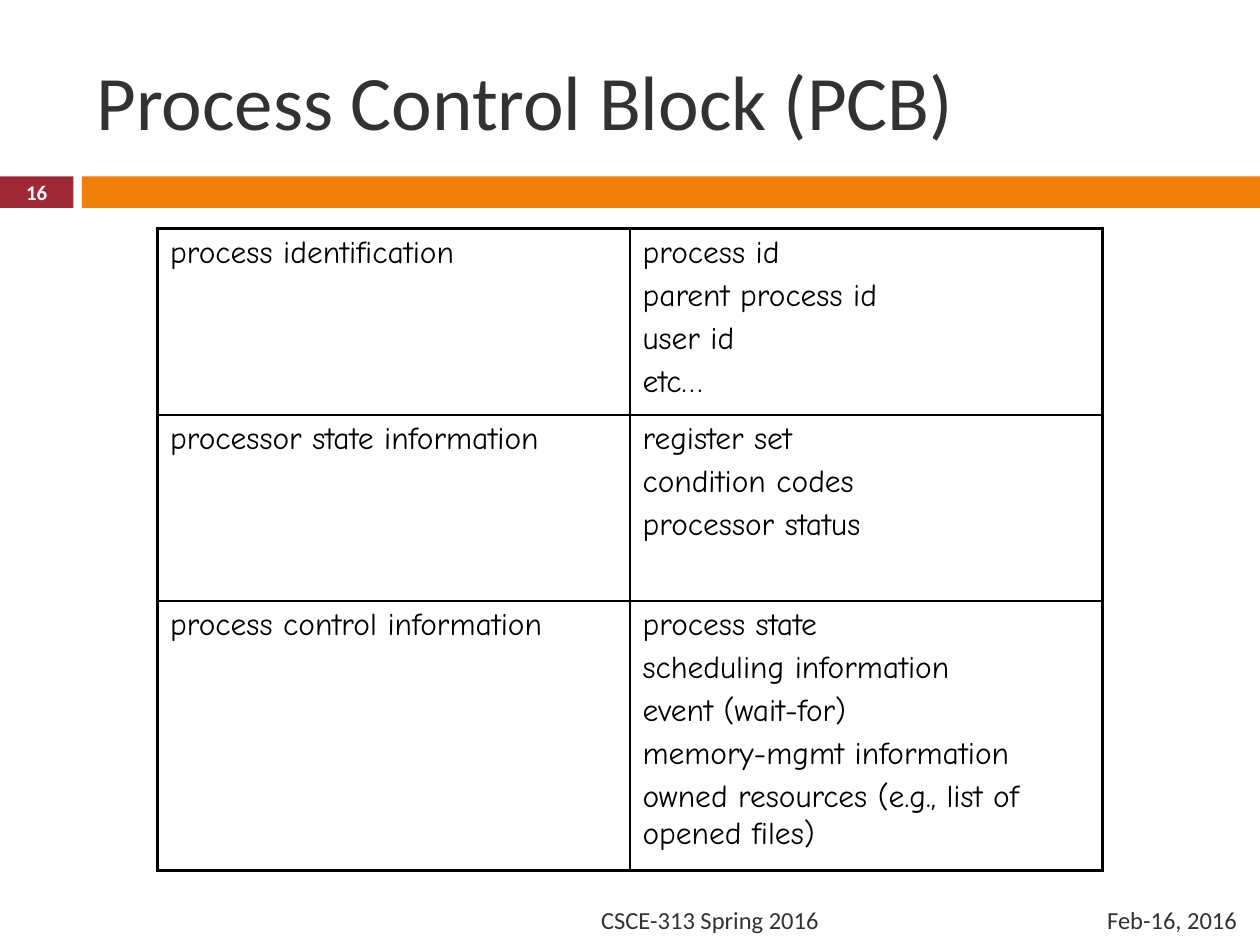
import pptx
import pptx.util
import pptx.dml.color
import pptx.enum.shapes
import pptx.enum.text
import pptx.oxml
import pptx.oxml.ns

Pt = pptx.util.Pt
RGBColor = pptx.dml.color.RGBColor
ALIGN = pptx.enum.text.PP_ALIGN

CRIMSON = RGBColor(0x9F, 0x29, 0x36)
ORANGE = RGBColor(0xF0, 0x7F, 0x09)
CHARCOAL = RGBColor(0x32, 0x32, 0x32)
BLACK = RGBColor(0, 0, 0)
WHITE = RGBColor(0xFF, 0xFF, 0xFF)

BANDS = [
    ((0, 100.8, 42, 18), CRIMSON),
    ((46.8, 100.8, 673.2, 18), ORANGE),
]
LABELS = [
    ("Process Control Block (PCB)", (48, 18, 642, 78), 44, CHARCOAL, False, ALIGN.LEFT),
    ("Feb-16, 2016", (504, 511.2, 210, 28.8), 14, CHARCOAL, False, ALIGN.RIGHT),
    ("CSCE-313 Spring 2016", (48, 511.2, 427, 28.8), 14, CHARCOAL, False, ALIGN.RIGHT),
    ("16", (0, 100.2, 42, 19.2), 11.9, WHITE, True, ALIGN.CENTER),
]
PCB_FIELDS = [
    ("process identification",
     ["process id", "parent process id", "user id", "etc…"], 106.5),
    ("processor state information",
     ["register set", "condition codes", "processor status"], 106.5),
    ("process control information",
     ["process state", "scheduling information", "event (wait-for)",
      "memory-mgmt information", "owned resources (e.g., list of opened files)"], 154),
]
TABLE_LEFT, TABLE_TOP, COLUMN_WIDTH = 90, 130.5, 270
OUTER_LINE, INNER_LINE = 2.25, 1


def add_run(paragraph, text, font_name, size, color, bold=False):
    run = paragraph.add_run()
    run.text = text
    run.font.name = font_name
    run.font.size = Pt(size)
    run.font.bold = bold
    run.font.color.rgb = color


def add_band(slide, box, color):
    band = slide.shapes.add_shape(
        pptx.enum.shapes.MSO_SHAPE.RECTANGLE, *map(Pt, box))
    band.shadow.inherit = False
    band.fill.solid()
    band.fill.fore_color.rgb = color
    band.line.fill.background()


def add_label(slide, text, box, size, color, bold, align):
    frame = slide.shapes.add_textbox(*map(Pt, box)).text_frame
    frame.word_wrap = True
    frame.vertical_anchor = pptx.enum.text.MSO_ANCHOR.MIDDLE
    paragraph = frame.paragraphs[0]
    paragraph.alignment = align
    add_run(paragraph, text, "Calibri", size, color, bold)


def set_borders(cell, outer_sides):
    properties = cell._tc.get_or_add_tcPr()
    for position, side in enumerate("LRTB"):
        width = Pt(OUTER_LINE if side in outer_sides else INNER_LINE)
        border = pptx.oxml.parse_xml(
            f'<a:ln{side} {pptx.oxml.ns.nsdecls("a")} w="{width}">'
            f'<a:solidFill><a:srgbClr val="{BLACK}"/></a:solidFill></a:ln{side}>')
        properties.insert(position, border)


def fill_cell(cell, lines, outer_sides):
    cell.fill.background()
    set_borders(cell, outer_sides)
    frame = cell.text_frame
    for index, line in enumerate(lines):
        paragraph = frame.add_paragraph() if index else frame.paragraphs[0]
        paragraph.space_before = Pt(3.8)
        add_run(paragraph, line, "Comic Neue", 18, BLACK)


def add_pcb_table(slide):
    heights = [height for _, _, height in PCB_FIELDS]
    table = slide.shapes.add_table(
        len(PCB_FIELDS), 2, Pt(TABLE_LEFT), Pt(TABLE_TOP),
        Pt(2 * COLUMN_WIDTH), Pt(sum(heights))).table
    table.first_row = table.horz_banding = False
    for column in table.columns:
        column.width = Pt(COLUMN_WIDTH)
    last = len(PCB_FIELDS) - 1
    for row, (category, fields, height) in enumerate(PCB_FIELDS):
        table.rows[row].height = Pt(height)
        edges = ("T" if row == 0 else "") + ("B" if row == last else "")
        fill_cell(table.cell(row, 0), [category], edges + "L")
        fill_cell(table.cell(row, 1), fields, edges + "R")


def main():
    deck = pptx.Presentation()
    deck.slide_width, deck.slide_height = Pt(720), Pt(540)
    slide = deck.slides.add_slide(deck.slide_layouts[6])
    for band in BANDS:
        add_band(slide, *band)
    add_pcb_table(slide)
    for label in LABELS:
        add_label(slide, *label)
    deck.save("out.pptx")


if __name__ == "__main__":
    main()
